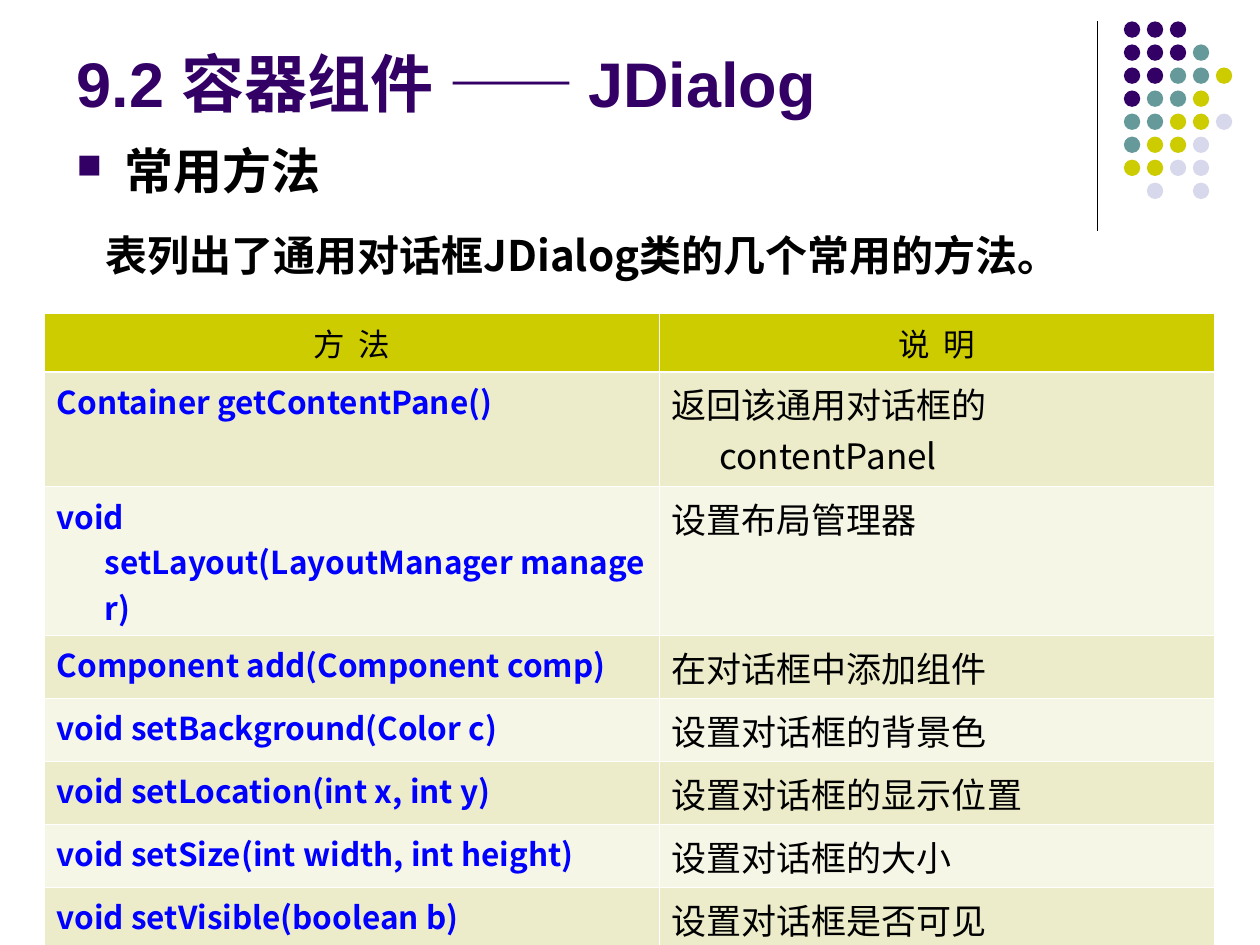
"""Build the JDialog slide: title, introduction, method table and dot ornament."""
from lxml.etree import SubElement
from pptx import Presentation
from pptx.dml.color import RGBColor
from pptx.enum.shapes import MSO_CONNECTOR as Connector, MSO_SHAPE as Shape
from pptx.enum.text import MSO_ANCHOR as Anchor, PP_ALIGN as Align
from pptx.oxml import parse_xml
from pptx.oxml.ns import nsdecls, qn
from pptx.util import Inches, Pt

COLORS = {
    "black": "000000", "white": "FFFFFF", "purple": "330066", "teal": "669999",
    "olive": "CCCC00", "lilac": "D8D8EC", "blue": "0000FF",
    "band_dark": "ECECCB", "band_light": "F6F6E7",
}
CJK_FONT = "Noto Sans CJK JP"
HARD_SPACE = chr(160)
DOT_COLORS = {"P": "purple", "T": "teal", "O": "olive", "L": "lilac"}
DOT_ROWS = ["PPP", "PPPT", "PPTTO", "PTTO", "TTOOL", "TOOL", "OOLL", ".L.L"]
METHODS = [
    ("Container getContentPane()", "返回该通用对话框的contentPanel", 0.91),
    (f"void setLayout(LayoutManager{HARD_SPACE}manager)", "设置布局管理器", 1.18),
    (f"Component add(Component{HARD_SPACE}comp)", "在对话框中添加组件", 0.5),
    ("void setBackground(Color c)", "设置对话框的背景色", 0.5),
    ("void setLocation(int x, int y)", "设置对话框的显示位置", 0.5),
    ("void setSize(int width, int height)", "设置对话框的大小", 0.5),
    ("void setVisible(boolean b)", "设置对话框是否可见", 0.5),
]


def rgb(color):
    """Return the named palette colour."""
    return RGBColor.from_string(COLORS[color])


def write(paragraph, text, size=18, color="black", bold=False, font=CJK_FONT,
          align=Align.LEFT, margin=0, indent=0, before=0, bullet=None):
    """Fill a paragraph with one formatted run."""
    paragraph.alignment = align
    paragraph.space_before = Pt(before)
    properties = paragraph._p.get_or_add_pPr()
    properties.set("marL", str(Inches(margin)))
    properties.set("indent", str(Inches(indent)))
    if bullet:
        bullet_color = SubElement(properties, qn("a:buClr"))
        SubElement(bullet_color, qn("a:srgbClr"), val=COLORS["purple"])
        SubElement(properties, qn("a:buSzPct"), val="70000")
        SubElement(properties, qn("a:buFont"), typeface="Wingdings", charset="2")
        SubElement(properties, qn("a:buChar"), char=bullet)
    run = paragraph.add_run()
    run.text = text
    run.font.size = Pt(size)
    run.font.bold = bold
    run.font.color.rgb = rgb(color)
    run.font.name = font
    SubElement(run._r.get_or_add_rPr(), qn("a:ea"), typeface=CJK_FONT)


class SlideBuilder:
    """Hold the current slide and its style."""

    def __init__(self, slide):
        """Keep the slide and the shared hanging indent."""
        self.slide = slide
        self.hanging = {"margin": 0.38, "indent": -0.38}

    def text_frame(self, left, top, width, height, anchor=Anchor.TOP):
        """Add a wrapping text box and return its frame."""
        box = self.slide.shapes.add_textbox(
            Inches(left), Inches(top), Inches(width), Inches(height))
        frame = box.text_frame
        frame.word_wrap = True
        frame.vertical_anchor = anchor
        return frame

    def line(self, x, top, bottom):
        """Add a thin vertical line."""
        divider = self.slide.shapes.add_connector(
            Connector.STRAIGHT, Inches(x), Inches(top), Inches(x), Inches(bottom))
        divider.line.color.rgb = rgb("black")
        divider.line.width = Pt(0.75)
        SubElement(divider._element.spPr, qn("a:effectLst"))

    def dots(self, left, top, pitch_x, pitch_y, size):
        """Add the grid of coloured dots as one group."""
        ornament = self.slide.shapes.add_group_shape()
        for row, codes in enumerate(DOT_ROWS):
            for column, code in enumerate(codes):
                if code not in DOT_COLORS:
                    continue
                dot = ornament.shapes.add_shape(
                    Shape.OVAL, Inches(left + column * pitch_x),
                    Inches(top + row * pitch_y), Inches(size), Inches(size))
                dot.shadow.inherit = False
                dot.fill.solid()
                dot.fill.fore_color.rgb = rgb(DOT_COLORS[code])
                dot.line.fill.background()

    def cell(self, cell, text, fill, top=0.45, bottom=0.45, **style):
        """Fill a table cell and draw its white borders."""
        write(cell.text_frame.paragraphs[0], text, **self.hanging, **style)
        cell.fill.solid()
        cell.fill.fore_color.rgb = rgb(fill)
        borders = {"lnL": 0.45, "lnR": 0.45, "lnT": top, "lnB": bottom}
        for position, (side, width) in enumerate(borders.items()):
            border = parse_xml(
                f'<a:{side} {nsdecls("a")} w="{Pt(width)}"><a:solidFill>'
                f'<a:srgbClr val="{COLORS["white"]}"/></a:solidFill></a:{side}>')
            cell._tc.get_or_add_tcPr().insert(position, border)

    def method_table(self, left, top, widths, header_height):
        """Add the table of methods and descriptions."""
        heights = [header_height] + [height for _, _, height in METHODS]
        table = self.slide.shapes.add_table(
            len(heights), len(widths), Inches(left), Inches(top),
            Inches(sum(widths)), Inches(sum(heights))).table
        table.horz_banding = False
        for column, width in zip(table.columns, widths):
            column.width = Inches(width)
        for row, height in zip(table.rows, heights):
            row.height = Inches(height)
        for column, heading in enumerate(("方  法", "说  明")):
            self.cell(table.cell(0, column), heading, "olive", bottom=1.47, align=Align.CENTER)
        for row, (method, description, _) in enumerate(METHODS, 1):
            fill = "band_dark" if row % 2 else "band_light"
            rule = 1.47 if row == 1 else 0.45
            self.cell(table.cell(row, 0), method, fill, top=rule, color="blue", bold=True)
            self.cell(table.cell(row, 1), description, fill, top=rule, size=20)


def main():
    """Build and save the presentation."""
    presentation = Presentation()
    presentation.slide_width = Inches(10)
    presentation.slide_height = Inches(7.5)
    builder = SlideBuilder(presentation.slides.add_slide(presentation.slide_layouts[6]))

    builder.line(8.71, 0.17, 1.83)
    builder.dots(8.92, 0.17, 0.73 / 4, 1.28 / 7, 0.13)

    title = builder.text_frame(0.51, 0.21, 8.25, 0.79, Anchor.BOTTOM)
    write(title.paragraphs[0], "9.2 容器组件 —— JDialog",
          size=36, color="purple", bold=True, font="Arial")

    introduction = builder.text_frame(0.51, 1.07, 9, 5.67)
    write(introduction.paragraphs[0], "常用方法", size=28, bold=True,
          bullet="n", **builder.hanging)
    write(introduction.add_paragraph(), "表列出了通用对话框JDialog类的几个常用的方法。",
          size=24, bold=True, margin=0.38, indent=-0.15, before=17)

    builder.method_table(0.35, 2.49, (4.88, 4.41), 0.46)
    presentation.save("out.pptx")


if __name__ == "__main__":
    main()
